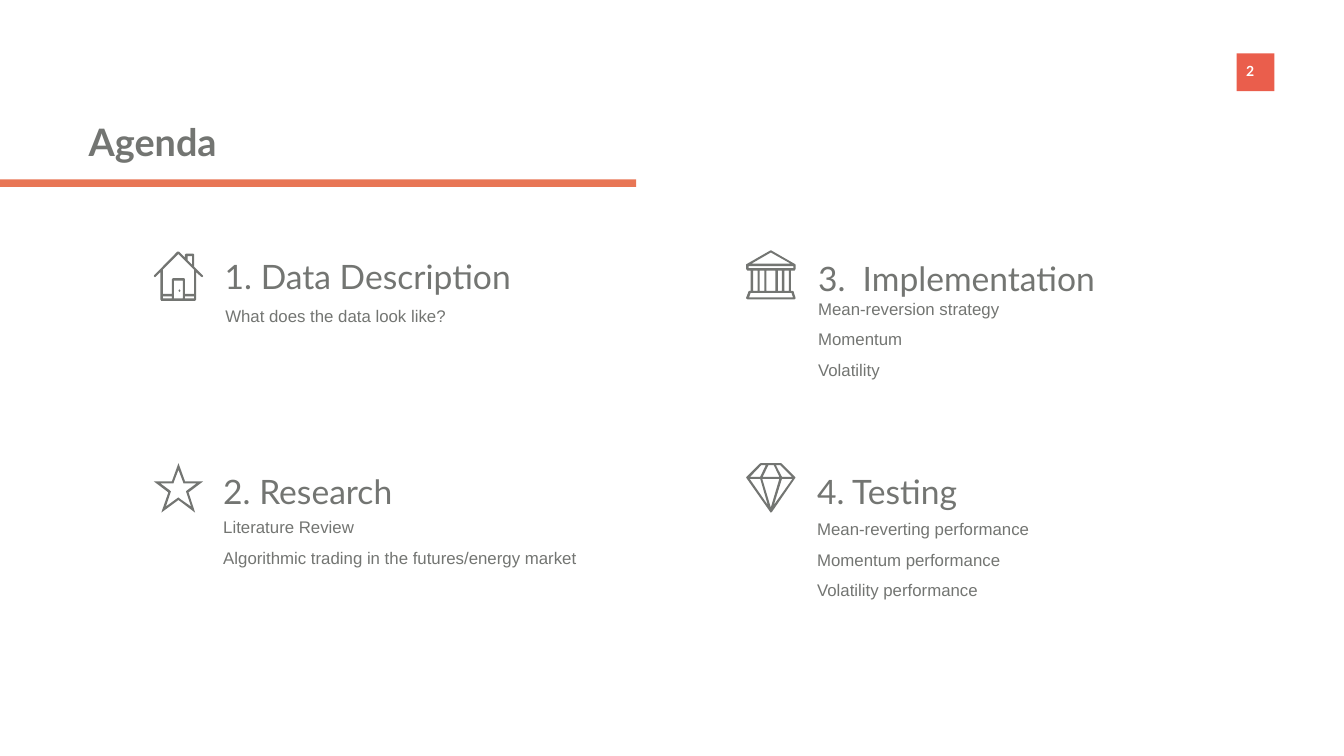
from pptx import Presentation
from pptx import util as u
from pptx.dml.color import RGBColor
from pptx.enum import shapes, text

GREY, WHITE, RED, ORANGE = "737572", "FFFFFF", "EA5E4C", "E87655"
ICON_UNIT = 0.72  # points per step of the 98-step icon grid


def box(left, top, right, bottom):
    return [(left, top), (right, top), (right, bottom), (left, bottom)]


HOUSE = [
    [(97, 47), (80, 30), (80, 6), (78, 4), (64, 4), (62, 6), (62, 12), (50, 0),
     (47, 0), (1, 47), (0, 49), (2, 51), (4, 50), (13, 41), (13, 95), (15, 98),
     (82, 98), (84, 95), (84, 41), (94, 50), (96, 51), (98, 49)],
    [(80, 84), (62, 84), (62, 55), (60, 53), (38, 53), (36, 55), (36, 84),
     (18, 84), (18, 36), (49, 5), (80, 36)],
    box(18, 89, 36, 93), box(40, 58, 58, 93), box(62, 89, 80, 93),
    [(51, 80), (53, 78), (51, 75), (49, 78)],
    [(67, 9), (76, 9), (76, 26), (67, 17)],
]
STAR = [
    [(98, 36), (62, 36), (49, 0), (36, 36), (0, 36), (29, 58), (15, 98),
     (49, 73), (82, 98), (69, 58)],
    [(74, 86), (51, 70), (49, 68), (46, 70), (24, 86), (33, 59), (34, 56),
     (32, 54), (13, 40), (39, 40), (40, 37), (49, 13), (58, 37), (59, 40),
     (85, 40), (66, 54), (64, 56)],
]
BANK = [
    [(96, 40), (98, 37), (98, 28), (97, 27), (50, 0), (48, 0), (1, 27), (0, 28),
     (0, 37), (3, 40), (9, 40), (9, 80), (7, 80), (5, 81), (0, 94), (0, 95),
     (3, 97), (96, 97), (98, 95), (98, 94), (94, 81), (91, 80), (89, 80), (89, 40)],
    [(49, 4), (88, 26), (11, 26)],
    [(90, 84), (93, 93), (6, 93), (9, 84)],
    box(5, 31, 94, 35),
    *[box(left, 40, right, 80)
      for left, right in [(14, 23), (27, 36), (40, 58), (63, 71), (76, 85)]],
]
DIAMOND = [
    [(98, 29), (97, 27), (71, 1), (69, 0), (29, 0), (27, 1), (1, 27), (0, 29),
     (1, 30), (48, 97), (49, 98), (51, 97), (97, 30)],
    [(55, 83), (71, 31), (92, 31)],
    [(49, 88), (32, 31), (66, 31)],
    [(7, 31), (28, 31), (43, 83)],
    [(30, 4), (39, 4), (28, 27), (8, 27)],
    [(55, 4), (66, 27), (33, 27), (44, 4)],
    [(68, 4), (91, 27), (71, 27), (59, 4)],
]

# icon, its position, heading, its box, details, their box
TOPICS = [
    (HOUSE, (219.6, 359.28), "1. Data Description", (313.92, 332.64, 451.44, 83.52),
     ["What does the data look like?"], (314.64, 418.32, 451.44, 181.44)),
    (STAR, (219.6, 661.68), "2. Research", (311.76, 640.08, 279.36, 83.52),
     ["Literature Review", "Algorithmic trading in the futures/energy market"],
     (311.76, 720.72, 597.6, 181.44)),
    (BANK, (1065.6, 357.84), "3.  Implementation", (1161.36, 336.24, 424.08, 83.52),
     ["Mean-reversion strategy", "Momentum", "Volatility"],
     (1161.36, 408.96, 451.44, 181.44)),
    (DIAMOND, (1065.6, 661.68), "4. Testing", (1159.92, 640.08, 279.36, 83.52),
     ["Mean-reverting performance", "Momentum performance", "Volatility performance"],
     (1159.92, 723.6, 451.44, 181.44)),
]


def color(value):
    return RGBColor.from_string(value)


def paint(sp, fill):
    """Give a shape a flat fill with no outline or shadow."""
    sp.fill.solid()
    sp.fill.fore_color.rgb = color(fill)
    sp.line.fill.background()
    sp.shadow.inherit = False


def add_bar(s, at, fill):
    paint(s.shapes.add_shape(shapes.MSO_SHAPE.RECTANGLE, *map(u.Pt, at)), fill)


def add_text(s, at, lines, size, font="Lato", fill=GREY, bold=False,
             align=text.PP_ALIGN.LEFT, spacing=1.0, inset=(7.2, 3.6)):
    tf = s.shapes.add_textbox(*map(u.Pt, at)).text_frame
    tf.word_wrap = True
    tf.margin_left = tf.margin_right = u.Pt(inset[0])
    tf.margin_top = tf.margin_bottom = u.Pt(inset[1])
    for i, line in enumerate(lines):
        p = tf.paragraphs[0] if i == 0 else tf.add_paragraph()
        p.alignment = align
        p.line_spacing = spacing
        r = p.add_run()
        r.text = line
        r.font.name = font
        r.font.size = u.Pt(size)
        r.font.bold = bold
        r.font.color.rgb = color(fill)


def add_icon(s, left, top, contours):
    """Draw one shape whose inner contours cut holes in the first."""
    placed = [[(u.Pt(left + x * ICON_UNIT), u.Pt(top + y * ICON_UNIT))
               for x, y in contour] for contour in contours]
    builder = s.shapes.build_freeform(*placed[0][0])
    for i, (start, *rest) in enumerate(placed):
        if i:
            builder.move_to(*start)
        builder.add_line_segments(rest, close=True)
    paint(builder.convert_to_shape(), GREY)


def main():
    prs = Presentation()
    prs.slide_width, prs.slide_height = u.Pt(1919.52), u.Pt(1080)
    s = prs.slides.add_slide(prs.slide_layouts[6])

    add_bar(s, (1766.16, 76.32, 54, 54), RED)
    add_text(s, (1750.32, 82.08, 70.56, 43.92), ["2"], 20, fill=WHITE, bold=True,
             align=text.PP_ALIGN.CENTER, inset=(14.4, 7.2))
    add_text(s, (119.52, 166.32, 212.4, 72.72), ["Agenda"], 54, bold=True)
    add_bar(s, (-56.16, 256.32, 964.8, 10.8), ORANGE)

    for icon, place, heading, heading_at, details, details_at in TOPICS:
        add_icon(s, *place, icon)
        add_text(s, heading_at, [heading], 48, spacing=1.5)
        add_text(s, details_at, details, 24, font="Arial", spacing=1.5)

    prs.save("out.pptx")


if __name__ == "__main__":
    main()
